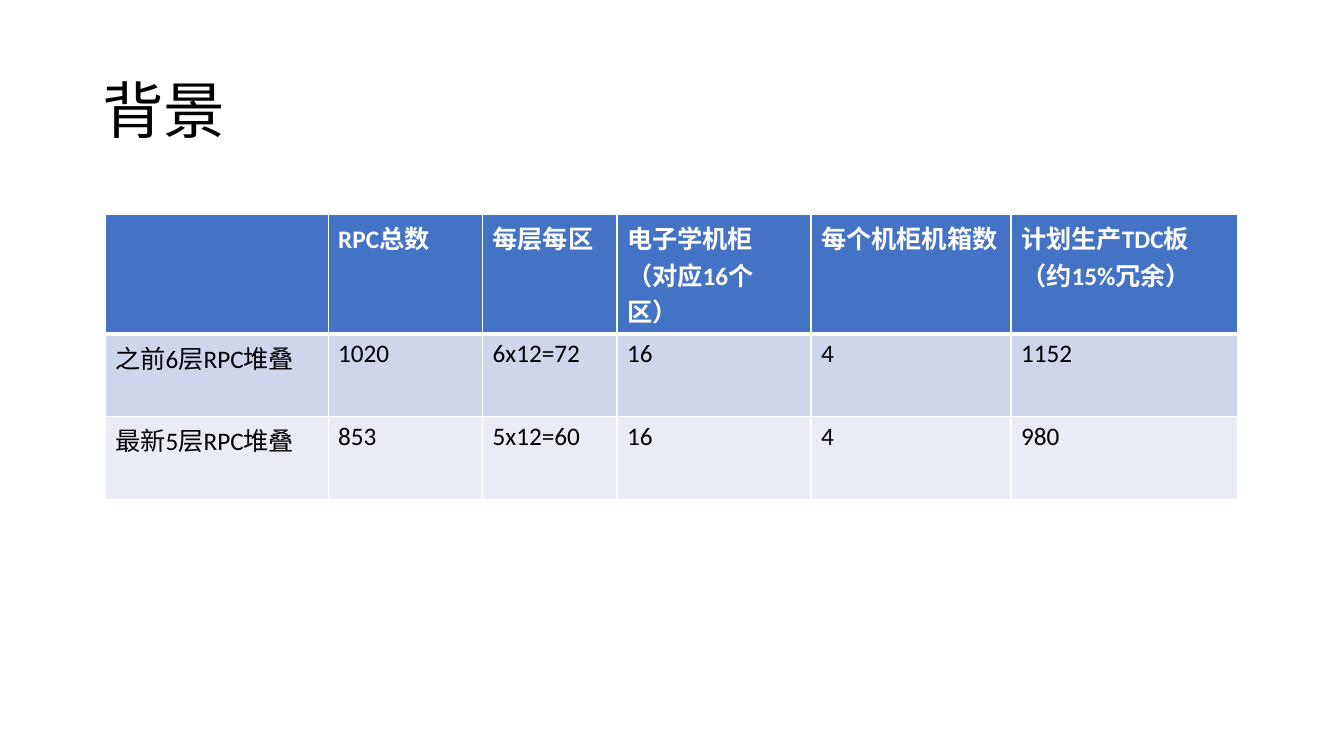
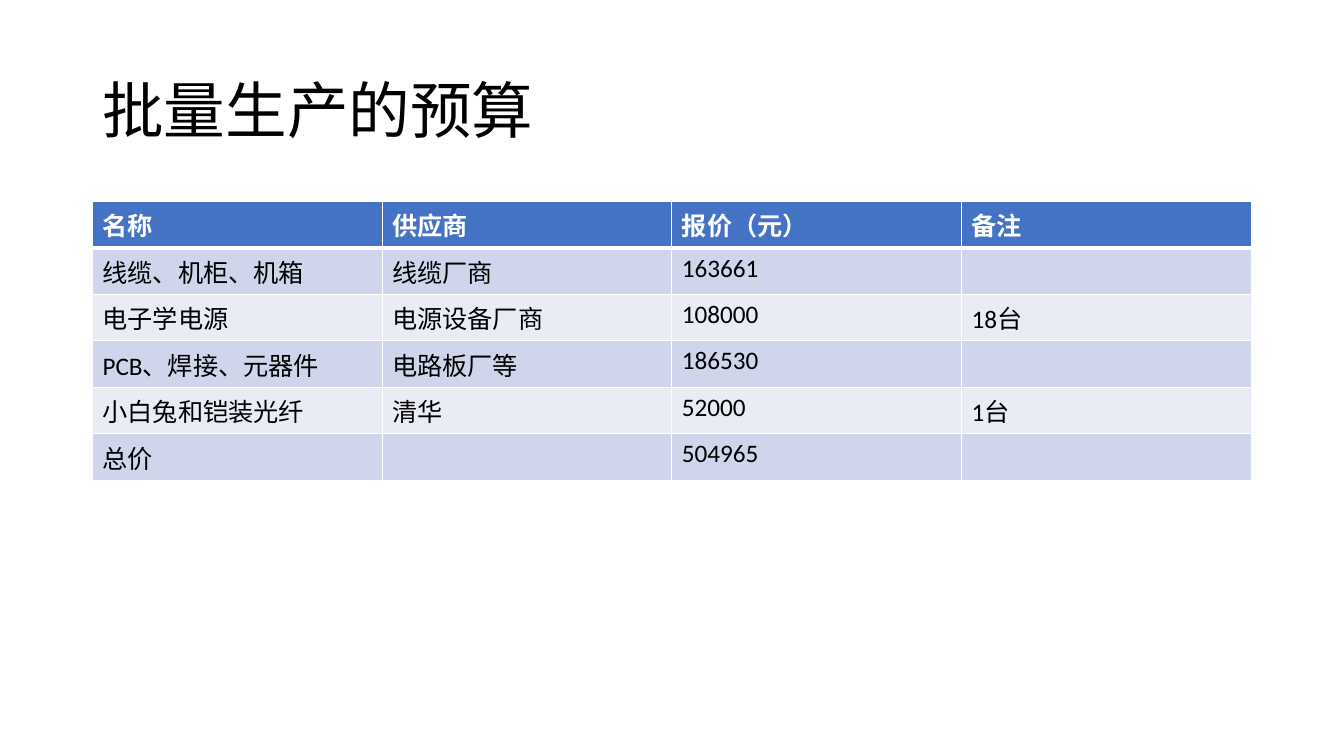
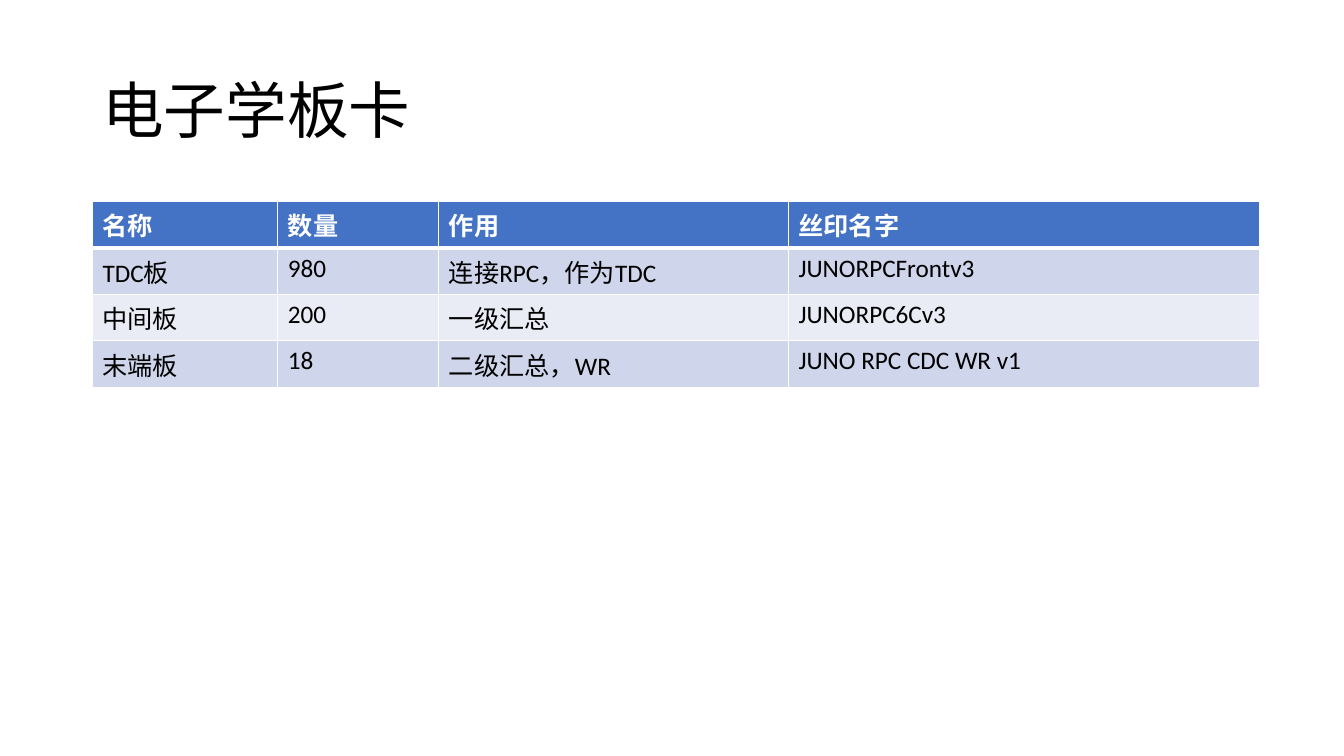
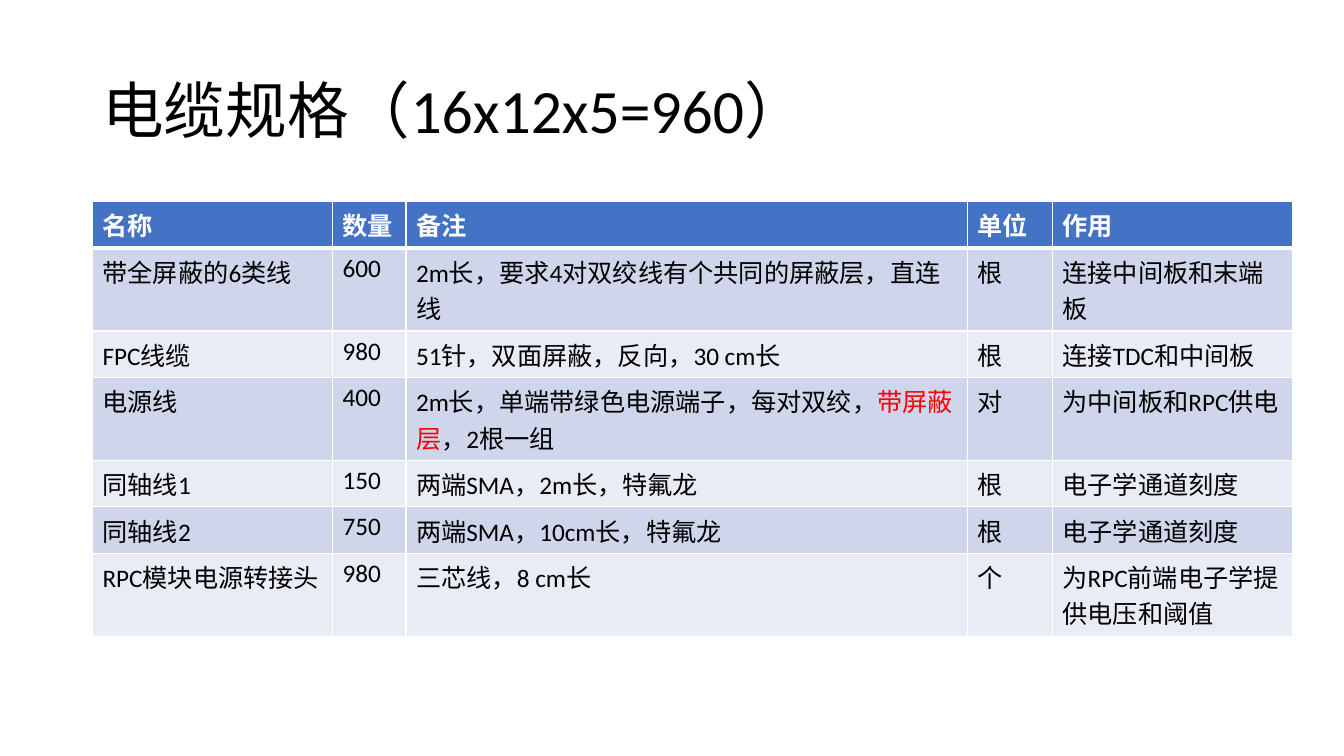
from lxml.etree import SubElement
from pptx import Presentation
from pptx.dml.color import RGBColor
from pptx.enum.lang import MSO_LANGUAGE_ID as Language
from pptx.enum.text import MSO_ANCHOR as Anchor
from pptx.oxml.ns import qn
from pptx.util import Cm, Pt

WHITE = RGBColor(0xFF, 0xFF, 0xFF)
BLACK = RGBColor(0x00, 0x00, 0x00)
RED = RGBColor(0xFF, 0x00, 0x00)
BLUE = RGBColor(0x44, 0x72, 0xC4)
BANDS = (RGBColor(0xCF, 0xD5, 0xEA), RGBColor(0xE9, 0xEB, 0xF5))

BASE_FONT = {"name": "Calibri", "language_id": Language.SIMPLIFIED_CHINESE}
TITLE_FONT = {**BASE_FONT, "size": Pt(44)}
HEADER_FONT = {**BASE_FONT, "size": Pt(18), "bold": True}
BODY_FONT = {**BASE_FONT, "size": Pt(18), "bold": False}

TITLE_BOX = (2.33, 1.02, 29.21, 3.68)
TABLE_CORNER = (2.33, 5.08)
ROW_PADDING, LINE_HEIGHT = 0.25, 0.92
THIN, THICK = Pt(1), Pt(3)

SLIDES = [
    {
        "title": "背景",
        "corner": (2.65, 5.4),
        "widths": (5.62, 3.89, 3.39, 4.89, 5.04, 5.72),
        "line_counts": (3, 2, 2),
        "rows": [
            ("", "RPC总数", "每层每区", "电子学机柜\n（对应16个区）", "每个机柜机箱数",
             "计划生产TDC板（约15%冗余）"),
            ("之前6层RPC堆叠", "1020", "6x12=72", "16", "4", "1152"),
            ("最新5层RPC堆叠", "853", "5x12=60", "16", "4", "980"),
        ],
    },
    {
        "title": "批量生产的预算",
        "corner": TABLE_CORNER,
        "widths": (7.3,) * 4,
        "line_counts": (1,) * 6,
        "rows": [
            ("名称", "供应商", "报价（元）", "备注"),
            ("线缆、机柜、机箱", "线缆厂商", "163661", ""),
            ("电子学电源", "电源设备厂商", "108000", "18台"),
            ("PCB、焊接、元器件", "电路板厂等", "186530", ""),
            ("小白兔和铠装光纤", "清华", "52000", "1台"),
            ("总价", "", "504965", ""),
        ],
    },
    {
        "title": "电子学板卡",
        "corner": TABLE_CORNER,
        "widths": (4.67, 4.06, 8.81, 11.88),
        "line_counts": (1,) * 4,
        "rows": [
            ("名称", "数量", "作用", "丝印名字"),
            ("TDC板", "980", "连接RPC，作为TDC", "JUNORPCFrontv3"),
            ("中间板", "200", "一级汇总", "JUNORPC6Cv3"),
            ("末端板", "18", "二级汇总，WR", "JUNO RPC CDC WR v1"),
        ],
    },
    {
        "title": "电缆规格（16x12x5=960）",
        "corner": TABLE_CORNER,
        "widths": (6.05, 1.85, 14.15, 2.14, 6.05),
        "line_counts": (1, 2, 1, 2, 1, 1, 2),
        "rows": [
            ("名称", "数量", "备注", "单位", "作用"),
            ("带全屏蔽的6类线", "600", "2m长，要求4对双绞线有个共同的屏蔽层，直连线", "根",
             "连接中间板和末端板"),
            ("FPC线缆", "980", "51针，双面屏蔽，反向，30 cm长", "根", "连接TDC和中间板"),
            ("电源线", "400",
             [("2m长，单端带绿色电源端子，每对双绞，", BLACK), ("带屏蔽层", RED), ("，2根一组", BLACK)],
             "对", "为中间板和RPC供电"),
            ("同轴线1", "150", "两端SMA，2m长，特氟龙", "根", "电子学通道刻度"),
            ("同轴线2", "750", "两端SMA，10cm长，特氟龙", "根", "电子学通道刻度"),
            ("RPC模块电源转接头", "980", "三芯线，8 cm长", "个", "为RPC前端电子学提供电压和阈值"),
        ],
    },
]


def add_run(paragraph, text, font_format, colour):
    """Append one formatted run to a paragraph."""
    run = paragraph.add_run()
    run.text = text
    for name, value in font_format.items():
        setattr(run.font, name, value)
    run.font.color.rgb = colour


def add_title(slide, box, text):
    """Place the slide title in the given box."""
    frame = slide.shapes.add_textbox(*map(Cm, box)).text_frame
    frame.word_wrap = True
    frame.vertical_anchor = Anchor.MIDDLE
    paragraph = frame.paragraphs[0]
    paragraph.line_spacing = 0.9
    add_run(paragraph, text, TITLE_FONT, BLACK)


def set_borders(cell, top, bottom):
    """Draw white borders around a cell."""
    properties = cell._tc.get_or_add_tcPr()
    for side, width in (("L", THIN), ("R", THIN), ("T", top), ("B", bottom)):
        line = SubElement(properties, qn(f"a:ln{side}"), w=str(width))
        fill = SubElement(line, qn("a:solidFill"))
        SubElement(fill, qn("a:srgbClr"), val=str(WHITE))


def fill_cell(cell, content, row_index):
    """Style one cell by its row and write its text or coloured runs."""
    header = row_index == 0
    set_borders(cell, THICK if row_index == 1 else THIN, THICK if header else THIN)
    cell.fill.solid()
    cell.fill.fore_color.rgb = BLUE if header else BANDS[(row_index - 1) % 2]
    font_format, colour = (HEADER_FONT, WHITE) if header else (BODY_FONT, BLACK)
    if isinstance(content, str):
        lines = [[(line, colour)] for line in content.split("\n") if line]
    else:
        lines = [content]
    frame = cell.text_frame
    for index, runs in enumerate(lines):
        paragraph = frame.add_paragraph() if index else frame.paragraphs[0]
        for text, run_colour in runs:
            add_run(paragraph, text, font_format, run_colour)


def add_data_table(slide, corner, widths, line_counts, rows):
    """Place a banded table at the given corner, its rows as tall as their lines."""
    heights = [ROW_PADDING + LINE_HEIGHT * count for count in line_counts]
    box = (*corner, sum(widths), sum(heights))
    table = slide.shapes.add_table(len(rows), len(widths), *map(Cm, box)).table
    for column, width in zip(table.columns, widths):
        column.width = Cm(width)
    for row_index, (contents, height) in enumerate(zip(rows, heights)):
        table.rows[row_index].height = Cm(height)
        for column_index, content in enumerate(contents):
            fill_cell(table.cell(row_index, column_index), content, row_index)


def main():
    """Build and save the presentation."""
    presentation = Presentation()
    presentation.slide_width, presentation.slide_height = Cm(33.87), Cm(19.05)
    blank_layout = presentation.slide_layouts[6]
    for content in SLIDES:
        slide = presentation.slides.add_slide(blank_layout)
        add_title(slide, TITLE_BOX, content["title"])
        add_data_table(slide, content["corner"], content["widths"],
                       content["line_counts"], content["rows"])
    presentation.save("out.pptx")


if __name__ == "__main__":
    main()
